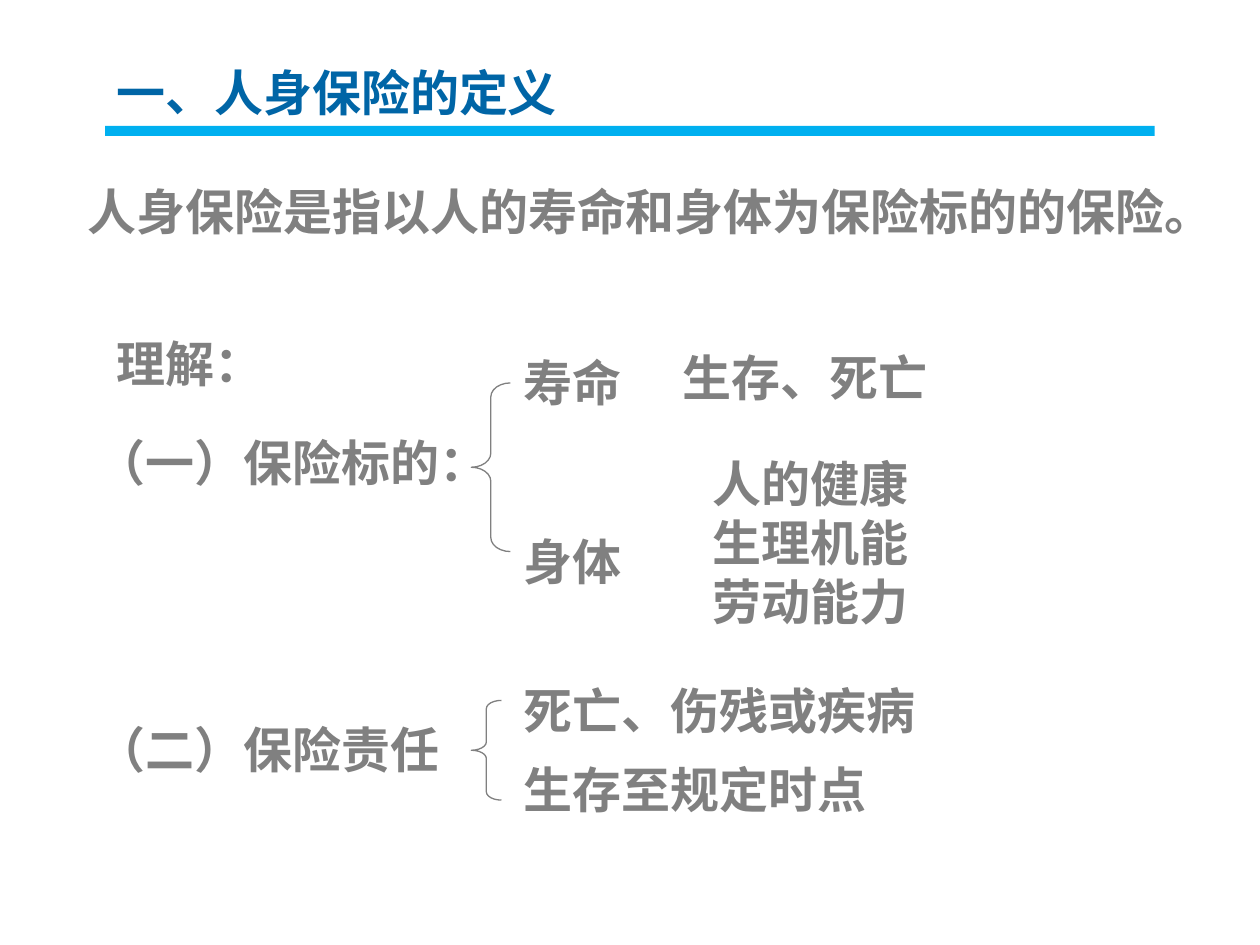
from lxml.etree import SubElement
from pptx import Presentation
from pptx.dml.color import RGBColor
from pptx.enum.shapes import MSO_SHAPE
from pptx.enum.text import MSO_AUTO_SIZE
from pptx.oxml.ns import qn
from pptx.util import Cm, Pt

BLUE, SKY, GREY = "0065A6", "00B0F0", "808080"


def color(code):
    return RGBColor.from_string(code)


def write(lines, left, top, width, height, tint=GREY, face="DejaVu Sans"):
    """Add a text box with one bold paragraph per line."""
    box = slide.shapes.add_textbox(Cm(left), Cm(top), Cm(width), Cm(height))
    frame = box.text_frame
    frame.word_wrap = False
    frame.auto_size = MSO_AUTO_SIZE.SHAPE_TO_FIT_TEXT
    for i, line in enumerate(lines):
        para = frame.paragraphs[0] if i == 0 else frame.add_paragraph()
        run = para.add_run()
        run.text = line
        font = run.font
        font.size, font.bold, font.name = Pt(28), True, face
        font.color.rgb = color(tint)
        # Chinese text takes its typeface from the East Asian slot
        SubElement(run._r.get_or_add_rPr(), qn("a:ea")).set("typeface", face)
    return box


deck = Presentation()
deck.slide_width, deck.slide_height = Cm(25.4), Cm(19.05)
slide = deck.slides.add_slide(deck.slide_layouts[6])

# Title and rule
bar = slide.shapes.add_shape(
    MSO_SHAPE.RECTANGLE, Cm(2.12), Cm(2.54), Cm(21.16), Cm(0.2))
bar.shadow.inherit = False
bar.fill.solid()
bar.fill.fore_color.rgb = color(SKY)
bar.line.fill.background()
title = write(["一、人身保险的定义"], 2.1, 1.14, 22.05, 1.75, BLUE, "Noto Sans CJK SC")
title.text_frame.word_wrap = True
title.text_frame.auto_size = MSO_AUTO_SIZE.NONE

# Definition, headings and branches
head, branch = 1.7, 10.31
for text, left, top, width in [
    ("人身保险是指以人的寿命和身体为保险标的的保险。", 1.52, 3.53, 23.2),
    ("理解：", 2.1, 6.6, 3.5),
    ("（一）保险标的：", head, 8.59, 8.45),
    ("寿命", branch, 6.99, 2.5),
    ("身体", branch, 10.59, 2.5),
    ("（二）保险责任", head, 14.38, 7.45),
    ("死亡、伤残或疾病", branch, 13.59, 8.45),
    ("生存至规定时点", branch, 15.19, 7.45),
    ("生存、死亡", 13.51, 6.88, 5.5),
]:
    write([text], left, top, width, 1.45)
write(["人的健康", "生理机能", "劳动能力"], 14.12, 9.02, 4.5, 3.81)

# Braces, with curls one twelfth of the height
for top, width, height in [(7.72, 0.79, 3.4), (14.12, 0.61, 2.01)]:
    brace = slide.shapes.add_shape(
        MSO_SHAPE.LEFT_BRACE, Cm(9.5), Cm(top), Cm(width), Cm(height))
    brace.adjustments[0] = height / 12 / width
    brace.shadow.inherit = False
    brace.fill.background()
    brace.line.color.rgb = color(GREY)
    brace.line.width = Pt(0.75)

deck.save("out.pptx")
